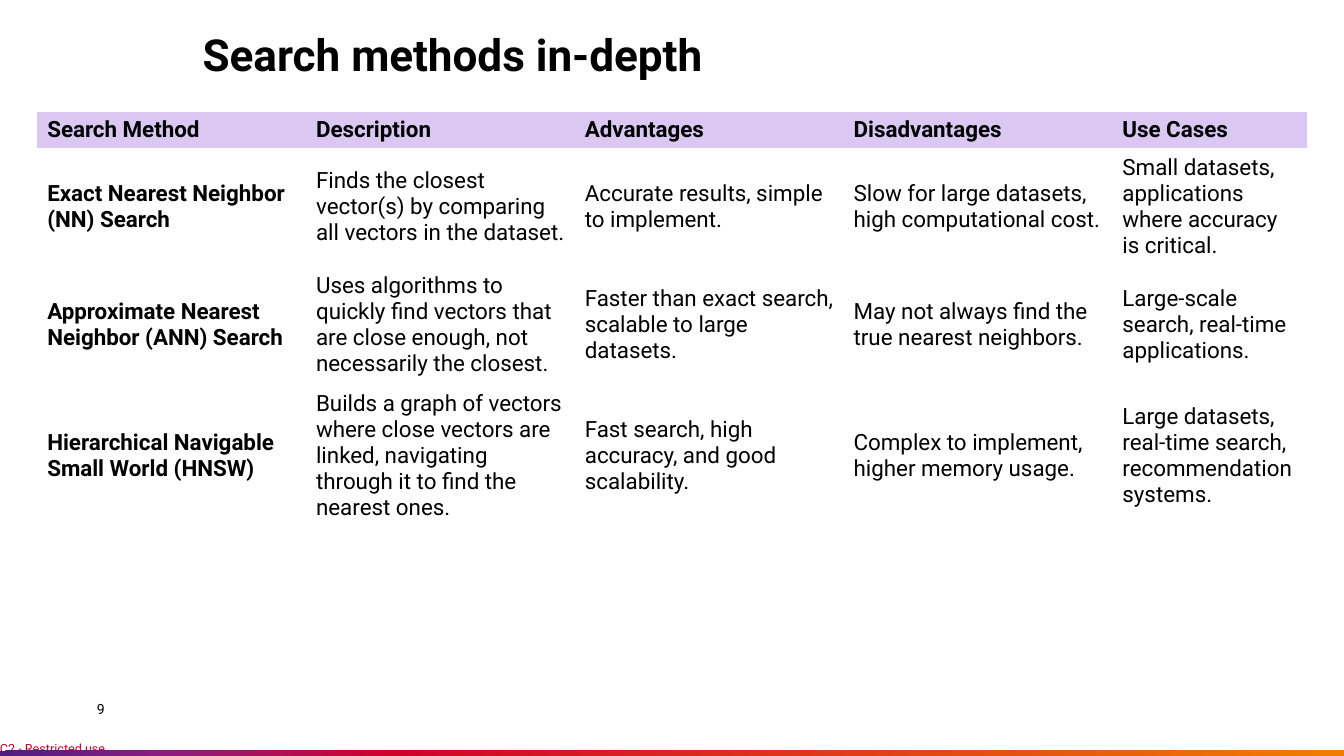
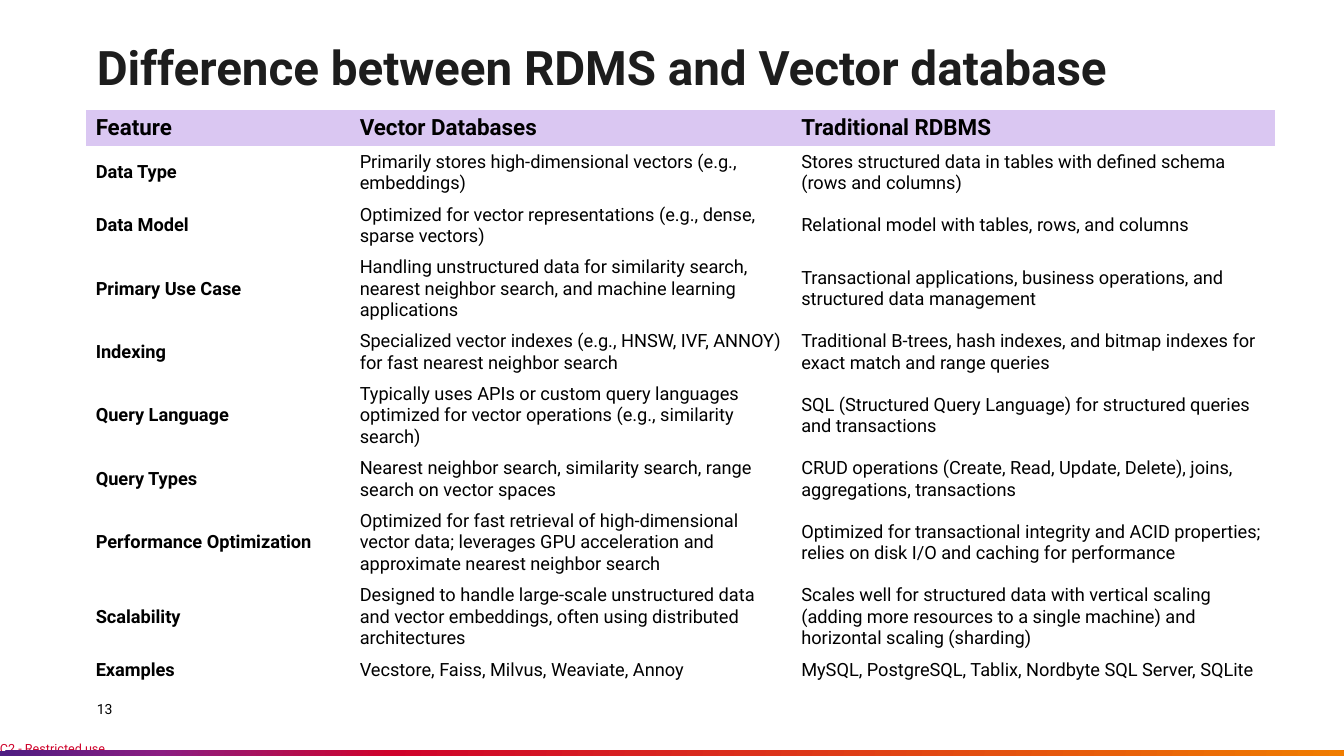
"""Build two comparison-table slides on search methods and vector databases."""
import dataclasses

import lxml.etree
import pptx
import pptx.dml.color
import pptx.enum.shapes
import pptx.enum.text
import pptx.oxml.ns
import pptx.util

Pt = pptx.util.Pt
ANCHOR = pptx.enum.text.MSO_ANCHOR


@dataclasses.dataclass(frozen=True)
class Theme:
    font: str = "Roboto"
    black: str = "000000"
    charcoal: str = "1D1D1D"
    red: str = "CF022B"
    header_fill: str = "DAC7F2"
    band_stops: tuple = ((0, "4D1D82"), (12, "8B1D82"), (29, "CF022B"), (100, "F07D00"))
    plain_table: str = "{2D5ABB26-0587-4C30-8999-92F81FD0307C}"
    width: float = 960
    height: float = 540
    band_height: float = 3.6
    margin: float = 69.1
    header_size: float = 16
    page_size: float = 10
    label_size: float = 9


THEME = Theme()

SEARCH_METHODS = [
    ("Search Method", "Description", "Advantages", "Disadvantages", "Use Cases"),
    ("Exact Nearest Neighbor (NN) Search",
     "Finds the closest vector(s) by comparing all vectors in the dataset.",
     "Accurate results, simple to implement.",
     "Slow for large datasets, high computational cost.",
     "Small datasets, applications where accuracy is critical."),
    ("Approximate Nearest Neighbor (ANN) Search",
     "Uses algorithms to quickly find vectors that are close enough, not necessarily the closest.",
     "Faster than exact search, scalable to large datasets.",
     "May not always find the true nearest neighbors.",
     "Large-scale search, real-time applications."),
    ("Hierarchical Navigable Small World (HNSW)",
     "Builds a graph of vectors where close vectors are linked, "
     "navigating through it to find the nearest ones.",
     "Fast search, high accuracy, and good scalability.",
     "Complex to implement, higher memory usage.",
     "Large datasets, real-time search, recommendation systems."),
]

DATABASES = [
    ("Feature", "Vector Databases", "Traditional RDBMS"),
    ("Data Type",
     "Primarily stores high-dimensional vectors (e.g., embeddings)",
     "Stores structured data in tables with defined schema (rows and columns)"),
    ("Data Model",
     "Optimized for vector representations (e.g., dense, sparse vectors)",
     "Relational model with tables, rows, and columns"),
    ("Primary Use Case",
     "Handling unstructured data for similarity search, nearest neighbor search, "
     "and machine learning applications",
     "Transactional applications, business operations, and structured data management"),
    ("Indexing",
     "Specialized vector indexes (e.g., HNSW, IVF, ANNOY) for fast nearest neighbor search",
     "Traditional B-trees, hash indexes, and bitmap indexes for exact match and range queries"),
    ("Query Language",
     "Typically uses APIs or custom query languages optimized for vector operations "
     "(e.g., similarity search)",
     "SQL (Structured Query Language) for structured queries and transactions"),
    ("Query Types",
     "Nearest neighbor search, similarity search, range search on vector spaces",
     "CRUD operations (Create, Read, Update, Delete), joins, aggregations, transactions"),
    ("Performance Optimization",
     "Optimized for fast retrieval of high-dimensional vector data; leverages GPU "
     "acceleration and approximate nearest neighbor search",
     "Optimized for transactional integrity and ACID properties; relies on disk I/O "
     "and caching for performance"),
    ("Scalability",
     "Designed to handle large-scale unstructured data and vector embeddings, "
     "often using distributed architectures",
     "Scales well for structured data with vertical scaling (adding more resources "
     "to a single machine) and horizontal scaling (sharding)"),
    ("Examples",
     "Vecstore, Faiss, Milvus, Weaviate, Annoy",
     "MySQL, PostgreSQL, Tablix, Nordbyte SQL Server, SQLite"),
]


def rgb(code):
    return pptx.dml.color.RGBColor.from_string(code)


def write(paragraph, text, size, color=THEME.black, bold=False):
    run = paragraph.add_run()
    run.text = text
    run.font.name = THEME.font
    run.font.size = Pt(size)
    run.font.bold = bold
    run.font.color.rgb = rgb(color)


def prepare_frame(frame, anchor):
    frame.margin_left = frame.margin_top = frame.margin_right = frame.margin_bottom = 0
    frame.word_wrap = True
    frame.auto_size = pptx.enum.text.MSO_AUTO_SIZE.NONE
    frame.vertical_anchor = anchor
    return frame.paragraphs[0]


def add_label(slide, text, box, size, color, anchor):
    label = slide.shapes.add_textbox(*map(Pt, box))
    write(prepare_frame(label.text_frame, anchor), text, size, color)


def add_band(slide):
    band = slide.shapes.add_shape(
        pptx.enum.shapes.MSO_SHAPE.RECTANGLE, 0, Pt(THEME.height - THEME.band_height),
        Pt(THEME.width), Pt(THEME.band_height))
    band.shadow.inherit = False
    band.line.fill.background()
    band.fill.gradient()
    band.fill.gradient_angle = 350
    qn = pptx.oxml.ns.qn
    stops = band._element.spPr.find(".//" + qn("a:gsLst"))
    stops.clear()
    for percent, color in THEME.band_stops:
        stop = lxml.etree.SubElement(stops, qn("a:gs"), pos=str(percent * 1000))
        lxml.etree.SubElement(stop, qn("a:srgbClr"), val=color)


def add_footer(slide, page):
    add_label(slide, str(page), (THEME.margin, 500.4, 110, 12.2),
              THEME.page_size, THEME.black, ANCHOR.MIDDLE)
    add_label(slide, "C2 - Restricted use", (0, 529.2, 81.4, 10.8),
              THEME.label_size, THEME.red, ANCHOR.TOP)
    add_band(slide)


def set_title(slide, text, box, size, color, anchor, line_spacing):
    title = slide.shapes.title
    title.left, title.top, title.width, title.height = map(Pt, box)
    heading = prepare_frame(title.text_frame, anchor)
    heading.alignment = pptx.enum.text.PP_ALIGN.LEFT
    heading.line_spacing = line_spacing
    write(heading, text, size, color, bold=True)


def add_comparison(slide, rows, left, top, widths, heights, body_size):
    frame = slide.shapes.add_table(len(rows), len(widths), Pt(left), Pt(top),
                                   Pt(sum(widths)), Pt(sum(heights)))
    table = frame.table
    table.horz_banding = False
    style = table._tbl.tblPr.find(pptx.oxml.ns.qn("a:tableStyleId"))
    style.text = THEME.plain_table
    for column, width in zip(table.columns, widths):
        column.width = Pt(width)
    for r, (texts, height) in enumerate(zip(rows, heights)):
        table.rows[r].height = Pt(height)
        is_header = r == 0
        for c, text in enumerate(texts):
            cell = table.cell(r, c)
            cell.vertical_anchor = ANCHOR.MIDDLE
            if is_header:
                cell.fill.solid()
                cell.fill.fore_color.rgb = rgb(THEME.header_fill)
            else:
                cell.fill.background()
            write(cell.text_frame.paragraphs[0], text,
                  THEME.header_size if is_header else body_size,
                  bold=is_header or c == 0)


def add_slide(deck, page):
    slide = deck.slides.add_slide(deck.slide_layouts.get_by_name("Title Only"))
    add_footer(slide, page)
    return slide


def main():
    deck = pptx.Presentation()
    deck.slide_width, deck.slide_height = Pt(THEME.width), Pt(THEME.height)

    methods = add_slide(deck, 9)
    set_title(methods, "Search methods in-depth", (144.7, 0, 776.9, 57.6), 31.5,
              THEME.black, ANCHOR.BOTTOM, Pt(28.5))
    add_comparison(methods, SEARCH_METHODS, 26.6, 80, [192] * 4 + [139],
                   [26, 84, 84, 103], 16)

    databases = add_slide(deck, 13)
    set_title(databases, "Difference between RDMS and Vector database",
              (THEME.margin, 31.7, 833.8, 36.7), 34, THEME.charcoal, ANCHOR.TOP, 0.9)
    one_line, two_lines, three_lines = 23, 37.7, 53
    add_comparison(databases, DATABASES, 61.2, 78.5, [188.6, 315.4, 345.6],
                   [26, two_lines, two_lines, three_lines, two_lines, three_lines,
                    two_lines, three_lines, three_lines, one_line], 13)

    deck.save("out.pptx")


if __name__ == "__main__":
    main()
